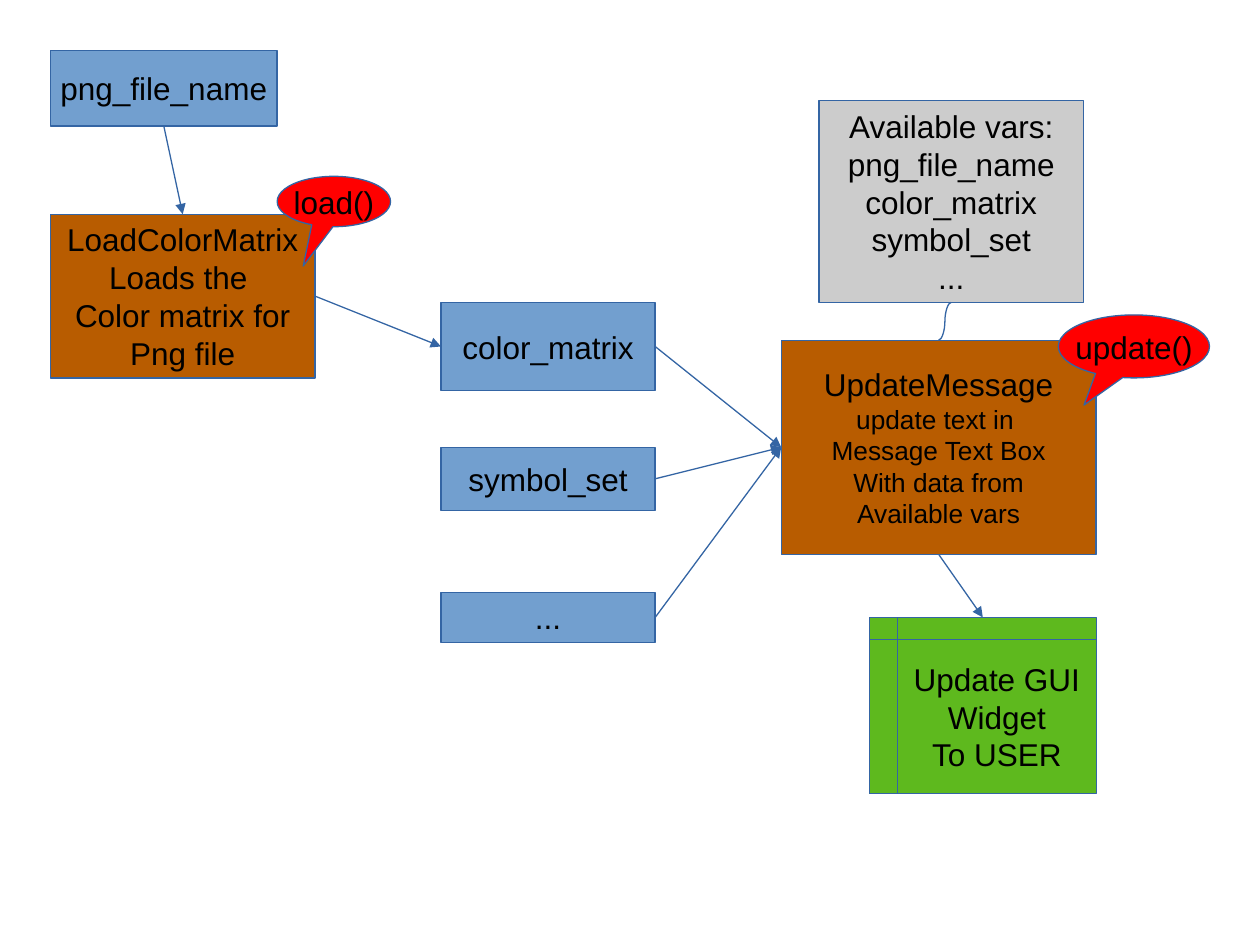
import pptx
import pptx.util
import pptx.dml.color
import pptx.enum.shapes
import pptx.enum.text
import pptx.oxml
import pptx.oxml.ns

PX = 9144  # EMU per px, 100 px to the inch
SHAPE = pptx.enum.shapes.MSO_SHAPE
CONNECTOR = pptx.enum.shapes.MSO_CONNECTOR
TOP, LEFT, BOTTOM, RIGHT = range(4)  # connection sites

THEME = {
    "data": "729FCF", "step": "B85C00", "widget": "5EB91E",
    "vars": "CCCCCC", "call": "FF0000", "line": "3465A4", "text": "000000",
    "font": "Arial", "size": 18, "small": 15, "width": 0.75,
}
FRAME = {
    "word_wrap": False,
    "vertical_anchor": pptx.enum.text.MSO_ANCHOR.MIDDLE,
    "margin_left": 10 * PX, "margin_right": 10 * PX,
    "margin_top": 5 * PX, "margin_bottom": 5 * PX,
}


def rgb(name):
    return pptx.dml.color.RGBColor.from_string(THEME[name])


def add_node(slide, kind, fill, box, lines, detail_size="size"):
    """Add a filled shape; lines after the first use detail_size."""
    s = slide.shapes.add_shape(kind, *(v * PX for v in box))
    s.shadow.inherit = False
    s.fill.solid()
    s.fill.fore_color.rgb = rgb(fill)
    s.line.color.rgb = rgb("line")
    s.line.width = pptx.util.Pt(THEME["width"])
    tf = s.text_frame
    for name, value in FRAME.items():
        setattr(tf, name, value)
    for i, text in enumerate(lines):
        p = tf.add_paragraph() if i else tf.paragraphs[0]
        p.alignment = pptx.enum.text.PP_ALIGN.CENTER
        r = p.add_run()
        r.text = text
        r.font.name = THEME["font"]
        r.font.size = pptx.util.Pt(THEME[detail_size if i else "size"])
        r.font.color.rgb = rgb("text")
    return s


prs = pptx.Presentation()
prs.slide_width, prs.slide_height = 1000 * PX, 750 * PX
slide = prs.slides.add_slide(prs.slide_layouts[6])

# Data boxes
data = {}
for text, box in [
    ("png_file_name", (40, 40, 180, 60)),
    ("color_matrix", (350, 240, 170, 70)),
    ("symbol_set", (350, 355, 170, 50)),
    ("...", (350, 470, 170, 40)),
]:
    data[text] = add_node(slide, SHAPE.RECTANGLE, "data", box, [text])

# Processing steps, available variables and the user's widget
load = add_node(slide, SHAPE.RECTANGLE, "step", (40, 170, 210, 130),
                ["LoadColorMatrix", "Loads the ", "Color matrix for", "Png file"])
update = add_node(slide, SHAPE.RECTANGLE, "step", (620, 270, 250, 170),
                  ["UpdateMessage", "update text in ", "Message Text Box",
                   "With data from", "Available vars"], "small")
add_node(slide, SHAPE.RECTANGLE, "vars", (650, 80, 210, 160),
         ["Available vars:", *data])
widget = add_node(slide, SHAPE.FLOWCHART_INTERNAL_STORAGE, "widget",
                  (690, 490, 180, 140), ["Update GUI", "Widget", "To USER"])

# Arrows glued to the shapes, plus a curve from the variables to the update
links = []
for start, start_site, end, end_site in [
    (data["png_file_name"], BOTTOM, load, TOP),
    (load, RIGHT, data["color_matrix"], LEFT),
    (data["color_matrix"], RIGHT, update, LEFT),
    (data["symbol_set"], RIGHT, update, LEFT),
    (data["..."], RIGHT, update, LEFT),
    (update, BOTTOM, widget, TOP),
]:
    arrow = slide.shapes.add_connector(CONNECTOR.STRAIGHT, 0, 0, 0, 0)
    arrow.begin_connect(start, start_site)
    arrow.end_connect(end, end_site)
    links.append((arrow, True))
curve = slide.shapes.add_connector(
    CONNECTOR.CURVE, 755 * PX, 240 * PX, 745 * PX, 270 * PX)
links.append((curve, False))

for link, has_head in links:
    link.line.color.rgb = rgb("line")
    link.line.width = pptx.util.Pt(THEME["width"])
    if has_head:
        head = pptx.oxml.parse_xml(
            f'<a:tailEnd {pptx.oxml.ns.nsdecls("a")} type="triangle"/>')
        link.line._get_or_add_ln().append(head)
    link._element.spPr.append(
        pptx.oxml.parse_xml(f'<a:effectLst {pptx.oxml.ns.nsdecls("a")}/>'))

# Method callouts
for text, box, tip in [
    ("load()", (220, 140, 90, 40), (-0.27, 1.28)),
    ("update()", (840, 250, 120, 50), (-0.33, 0.93)),
]:
    s = add_node(slide, SHAPE.OVAL_CALLOUT, "call", box, [text])
    s.adjustments[0], s.adjustments[1] = tip

prs.save("out.pptx")
